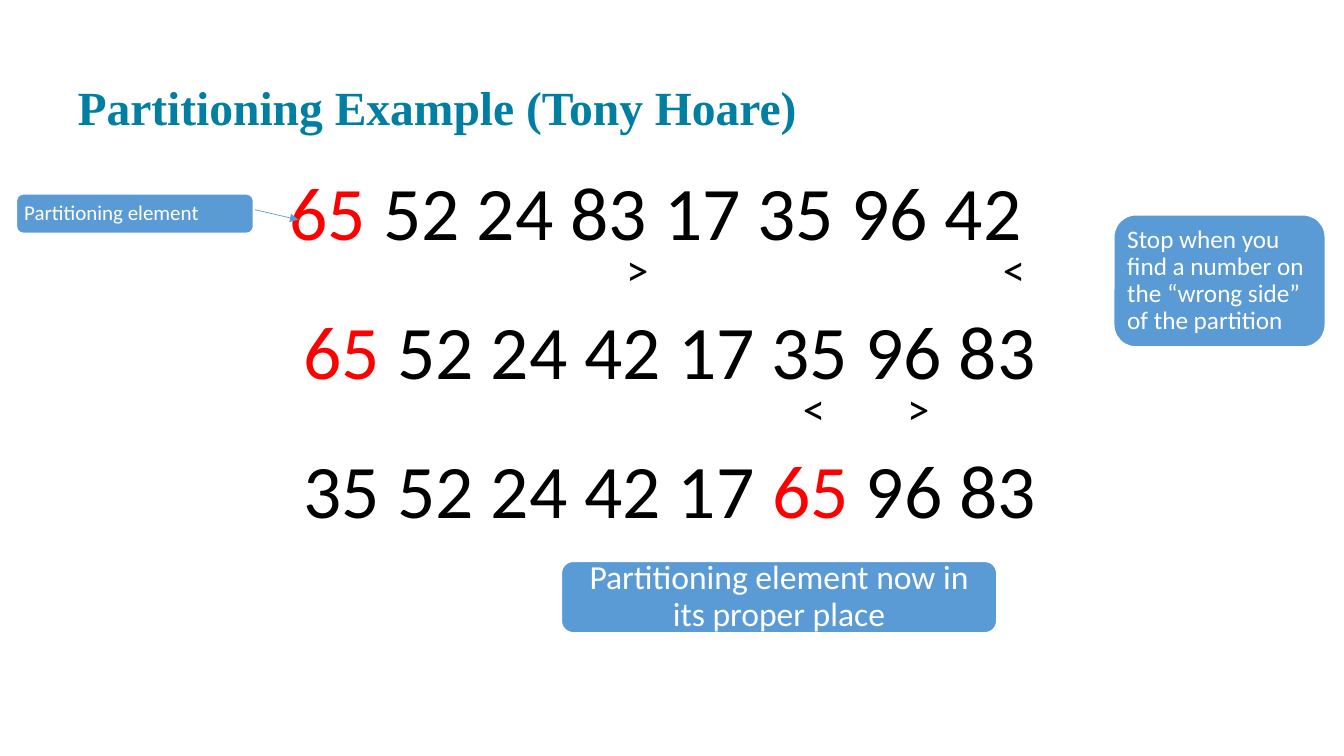
from lxml.etree import SubElement
from pptx import Presentation
from pptx.dml.color import RGBColor
from pptx.enum.shapes import MSO_CONNECTOR, MSO_SHAPE
from pptx.enum.text import MSO_ANCHOR, MSO_AUTO_SIZE, PP_ALIGN
from pptx.oxml.ns import qn
from pptx.util import Pt

COLORS = {"title": "007FA3", "pivot": "FF0000", "text": "000000",
          "box": "5B9BD5", "white": "FFFFFF"}
PITCH = 99.2


def color(name):
    return RGBColor.from_string(COLORS[name])


def place(shape, left, top, width, height):
    shape.left, shape.top = Pt(left), Pt(top)
    shape.width, shape.height = Pt(width), Pt(height)


deck = Presentation()
deck.slide_width, deck.slide_height = Pt(960), Pt(540)
slide = deck.slides.add_slide(deck.slide_layouts[1])

title = slide.shapes.title
place(title, 48.2, 17.3, 864, 86.4)
frame = title.text_frame
frame.text = "Partitioning Example (Tony Hoare)"
frame.auto_size = MSO_AUTO_SIZE.NONE
frame.vertical_anchor = MSO_ANCHOR.BOTTOM
frame.margin_bottom = Pt(7.2)
head = frame.paragraphs[0]
head.alignment = PP_ALIGN.LEFT
head.font.name = "Times New Roman"
head.font.size = Pt(34)
head.font.bold = True
head.font.color.rgb = color("title")

body = slide.placeholders[1]
place(body, 41, 129, 864, 354)
frame = body.text_frame
frame.auto_size = MSO_AUTO_SIZE.NONE
frame.margin_top = Pt(7.7)

ROWS = [
    (158.7, [("65", "pivot"), (" 52 24 83 17 35 96 42", "text")]),
    (168.7, [("65", "pivot"), (" 52 24 42 17 35 96 83", "text")]),
    (168.7, [("35 52 24 42 17 ", "text"), ("65", "pivot"),
             (" 96 83", "text")]),
]
for index, (indent, parts) in enumerate(ROWS):
    line = frame.add_paragraph() if index else frame.paragraphs[0]
    line.line_spacing = Pt(46)
    line.space_before = Pt(PITCH - 46 if index else 0)
    line.space_after = Pt(0)
    props = line._p.get_or_add_pPr()
    props.set("marL", str(Pt(indent)))
    props.set("indent", "0")
    SubElement(props, qn("a:buNone"))
    line.font.name = "Calibri"
    line.font.size = Pt(54)
    for text, tone in parts:
        run = line.add_run()
        run.text = text
        run.font.color.rgb = color(tone)

MARKS = [(">", 447.2, 0), ("<", 716.4, 0), ("<", 573.6, 1), (">", 648, 1)]
for text, left, row in MARKS:
    mark = slide.shapes.add_textbox(
        Pt(left), Pt(173 + row * PITCH), Pt(20), Pt(39))
    frame = mark.text_frame
    frame.text = text
    frame.word_wrap = True
    frame.margin_left = frame.margin_right = Pt(0)
    frame.margin_top = frame.margin_bottom = Pt(0)
    line = frame.paragraphs[0]
    line.font.name = "Calibri"
    line.font.size = Pt(32)
    line.font.color.rgb = color("text")

NOTES = [
    ("Partitioning element", (11.8, 138.6, 169.2, 28), 15, 4.1, PP_ALIGN.LEFT),
    ("Stop when you find a number on the “wrong side” of the partition",
     (795.6, 153.5, 151, 94.3), 18, 5, PP_ALIGN.LEFT),
    ("Partitioning element now in its proper place",
     (401, 401, 311, 51), 24, 6.9, PP_ALIGN.CENTER),
]
for text, area, size, inset, align in NOTES:
    note = slide.shapes.add_shape(MSO_SHAPE.ROUNDED_RECTANGLE, *map(Pt, area))
    note.shadow.inherit = False
    note.fill.solid()
    note.fill.fore_color.rgb = color("box")
    note.line.color.rgb = color("white")
    note.line.width = Pt(1)
    frame = note.text_frame
    frame.text = text
    frame.word_wrap = True
    frame.vertical_anchor = MSO_ANCHOR.MIDDLE
    frame.margin_left = frame.margin_right = Pt(inset)
    frame.margin_top = frame.margin_bottom = Pt(inset)
    line = frame.paragraphs[0]
    line.alignment = align
    line.line_spacing = 0.9
    line.font.name = "Calibri"
    line.font.size = Pt(size)
    line.font.color.rgb = color("white")

arrow = slide.shapes.add_connector(
    MSO_CONNECTOR.STRAIGHT, Pt(182.2), Pt(149.8), Pt(213.1), Pt(157))
arrow.line.color.rgb = color("box")
arrow.line.width = Pt(0.5)
SubElement(arrow.line._get_or_add_ln(), qn("a:tailEnd"), type="triangle")
SubElement(arrow._element.spPr, qn("a:effectLst"))

deck.save("out.pptx")
